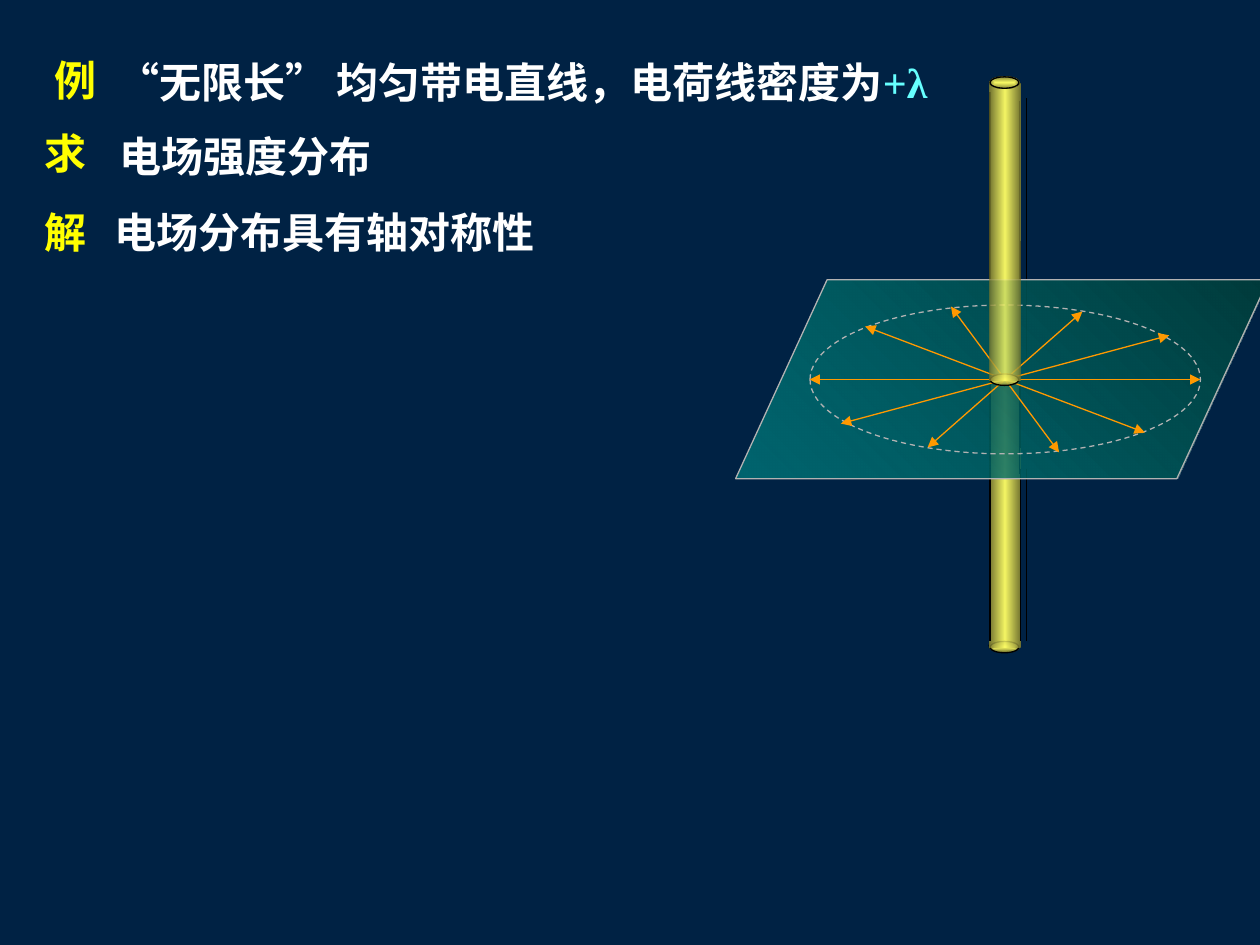
from pptx import Presentation
from pptx.dml.color import RGBColor
from pptx.enum.dml import MSO_LINE
from pptx.enum.shapes import MSO_CONNECTOR, MSO_SHAPE
from pptx.enum.text import MSO_ANCHOR, MSO_AUTO_SIZE, PP_ALIGN
from pptx.oxml import parse_xml
from pptx.oxml.ns import nsdecls, qn
from pptx.util import Cm, Pt
from lxml.etree import SubElement

HUES = {"back": "002244", "white": "FFFFFF", "key": "FFFF00", "sign": "66FFFF",
        "edge": "000000", "rim": "B2B2B2", "field": "FF9900",
        "glow": "FFFF66", "shade": "76762F", "teal": "008080", "deep": "003B3B"}
HAN, ROMAN = "Noto Sans CJK SC", "Times New Roman"

# Content: box in cm, wrap, alignment, runs of (text, font, colour)
HEAD = ((2.11, 1.02, 18.72, 1.27), True, PP_ALIGN.LEFT,
        [("“", ROMAN, "white"), ("无限长", HAN, "white"), ("”", ROMAN, "white"),
         (" 均匀带电直线，电荷线密度为", HAN, "white"), ("+λ", ROMAN, "sign")])
TEXTS = [
    ((0.64, 4.04, 1.35, 1.27), False, PP_ALIGN.LEFT, [("解", ROMAN, "key")]),
    ((0.84, 0.97, 1.37, 1.27), False, PP_ALIGN.CENTER, [("例", ROMAN, "key")]),
    ((2.16, 2.51, 8.15, 1.27), True, PP_ALIGN.LEFT,
     [("电场强度", HAN, "white"), ("分布", ROMAN, "white")]),
    ((0.64, 2.44, 1.37, 1.27), False, PP_ALIGN.CENTER, [("求", ROMAN, "key")]),
    ((2.06, 4.04, 11.73, 1.27), True, PP_ALIGN.LEFT,
     [("电场分布具有轴对称性", HAN, "white")]),
]

# Rod outlines: x, top, bottom in cm
BACK = [(19.94, 9.35, 12.93), (20.7, 9.45, 12.93),
        (19.96, 1.85, 7.26), (20.7, 1.98, 7.26)]
FRONT = [(19.96, 9.35, 12.93), (20.57, 9.45, 12.93), (19.96, 4.75, 9.04),
         (20.57, 4.85, 9.04), (19.96, 1.85, 9.55), (20.55, 2.03, 9.55)]
# Field arrows run both ways from the centre
MID = (20.26, 7.65)
RAYS = [(1.56, -1.37), (-1.09, -1.47), (3.94, 0), (3.31, -0.89), (-2.82, -1.07)]

# Gradients: stops of (position, colour, opacity in percent), then direction
LINEAR = '<a:lin ang="{}" scaled="0"/>'
ROUND = ('<a:path path="shape"><a:fillToRect l="50000" t="50000" '
         'r="50000" b="50000"/></a:path>')
CAP = ([(0, "glow", 90), (100, "shade", 90)], ROUND)
ROD = ([(0, "shade", 80), (50, "glow", 80), (100, "shade", 80)], LINEAR.format(0))
SHEET = ([(0, "teal", 70), (100, "deep", 100)], LINEAR.format(315 * 60000))

deck = Presentation()
deck.slide_width, deck.slide_height = Cm(25.4), Cm(19.05)
slide = deck.slides.add_slide(deck.slide_layouts[5])


def tint(name):
    return RGBColor.from_string(HUES[name])


def style(obj, vals):
    for key, val in vals.items():
        setattr(obj, key, val)


def write(box, spot, wrap, align, runs):
    style(box, dict(zip(("left", "top", "width", "height"), map(Cm, spot))))
    style(box.text_frame, {"word_wrap": wrap, "auto_size": MSO_AUTO_SIZE.SHAPE_TO_FIT_TEXT,
                           "vertical_anchor": MSO_ANCHOR.TOP})
    para = box.text_frame.paragraphs[0]
    style(para, {"alignment": align, "space_before": Pt(0)})
    for text, face, hue in runs:
        run = para.add_run()
        run.text = text
        style(run.font, {"name": face, "size": Pt(24), "bold": True})
        run.font.color.rgb = tint(hue)
        SubElement(run.font._element, qn("a:ea")).set("typeface", HAN)


def draw(kind, spot, grad=None, line=None):
    shape = slide.shapes.add_shape(kind, *map(Cm, spot))
    shape.shadow.inherit = False
    if grad:
        stops, way = grad
        marks = "".join(
            f'<a:gs pos="{pos * 1000}"><a:srgbClr val="{HUES[hue]}">'
            f'<a:alpha val="{see * 1000}"/></a:srgbClr></a:gs>' for pos, hue, see in stops)
        geom = shape._element.spPr.find(qn("a:prstGeom"))
        geom.addnext(parse_xml(f'<a:gradFill {nsdecls("a")} rotWithShape="1">'
                               f'<a:gsLst>{marks}</a:gsLst>{way}</a:gradFill>'))
    else:
        shape.fill.background()
    if line:
        shape.line.color.rgb = tint(line)
        shape.line.width = Pt(0.75)
    else:
        shape.line.fill.background()
    return shape


def join(start, end, hue, heads=False):
    link = slide.shapes.add_connector(MSO_CONNECTOR.STRAIGHT, *map(Cm, start + end))
    link.line.color.rgb = tint(hue)
    link.line.width = Pt(0.75)
    if heads:
        for tag in ("a:headEnd", "a:tailEnd"):
            SubElement(link.line._get_or_add_ln(), qn(tag)).set("type", "triangle")
    SubElement(link._element.spPr, qn("a:effectLst"))


def cap(left, top):
    draw(MSO_SHAPE.OVAL, (left, top, 0.58, 0.23), CAP, "edge")


def rod(left, top, wide, high):
    draw(MSO_SHAPE.RECTANGLE, (left, top, wide, high), ROD)


def sides(rows):
    for x, top, end in rows:
        join((x, top), (x, end), "edge")


# Background and text
slide.background.fill.solid()
slide.background.fill.fore_color.rgb = tint("back")
write(slide.shapes.title, *HEAD)
for spot, *rest in TEXTS:
    write(slide.shapes.add_textbox(*map(Cm, spot)), spot, *rest)

# Whole rod, behind the sheet
cap(19.94, 12.9)
sides(BACK)
rod(19.96, 1.68, 0.61, 11.35)
cap(19.96, 1.55)
cap(19.96, 12.93)
rod(19.94, 7.67, 0.64, 5.38)
sides(FRONT)

# Sheet with the circle and the field
sheet = draw(MSO_SHAPE.PARALLELOGRAM, (14.83, 5.64, 10.74, 4.01), SHEET, "rim")
sheet.adjustments[0] = 0.46
ring = draw(MSO_SHAPE.OVAL, (16.33, 6.15, 7.87, 3), line="rim")
ring.line.dash_style = MSO_LINE.DASH
for dx, dy in RAYS:
    join((MID[0] + dx, MID[1] + dy), (MID[0] - dx, MID[1] - dy), "field", True)

# Upper half of the rod, above the sheet
cap(19.96, 7.54)
rod(19.96, 1.68, 0.61, 5.99)
cap(19.96, 1.55)

deck.save("out.pptx")
